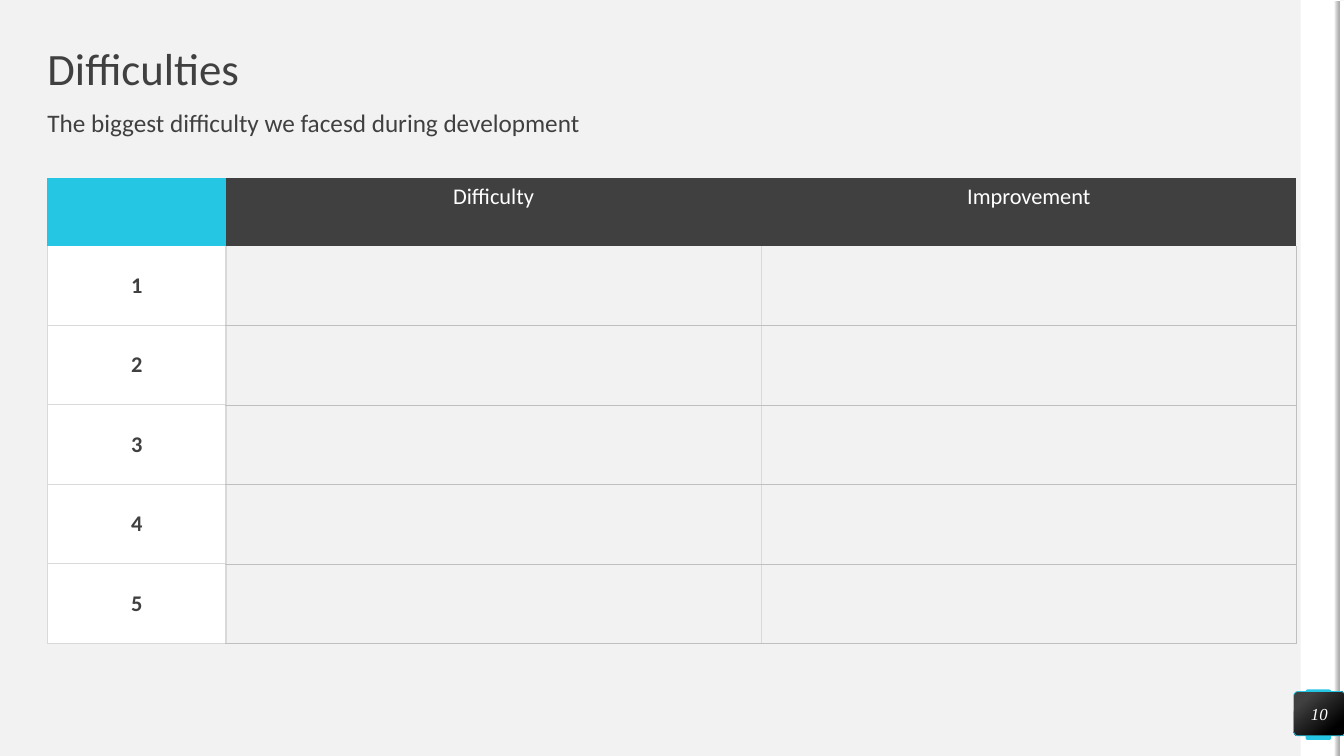
"""Build the Difficulties slide with its table, side band and page badge."""
from dataclasses import dataclass
from typing import Any, Optional

from lxml.etree import SubElement as Sub
from pptx import Presentation
from pptx.dml.color import RGBColor as RGB
from pptx.enum.shapes import MSO_SHAPE as Kind
from pptx.enum.text import MSO_ANCHOR as Anchor, PP_ALIGN as Align
from pptx.oxml.ns import qn
from pptx.util import Inches, Pt

WIDE, HIGH = Inches(13.33), Inches(7.5)
PALE = RGB(0xF2, 0xF2, 0xF2)
WHITE = RGB(0xFF, 0xFF, 0xFF)
BLACK = RGB(0, 0, 0)
CYAN = RGB(0x25, 0xC6, 0xE3)
DARK = RGB(0x40, 0x40, 0x40)
GRAY = RGB(0xA6, 0xA6, 0xA6)
LIGHT = RGB(0xD9, 0xD9, 0xD9)
MID = RGB(0xBF, 0xBF, 0xBF)
SANS, SERIF = "Calibri", "Times New Roman"
LEFT = 3.53
COLS = (13.28, 39.83, 39.83)
HEAD_ROW, BODY_ROW = 8.93, 10.51
HEADS = ("", "Difficulty", "Improvement")
COUNT = 5
SOFT, FINE = (LIGHT, 1), (MID, 0.25)
Edge = Optional[tuple[RGB, float]]


@dataclass(frozen=True)
class Box:
    """Place and size in percent of the slide."""
    x: float
    y: float
    w: float
    h: float

    def emu(self) -> tuple[int, int, int, int]:
        """Return left, top, width and height in slide units."""
        return across(self.x), down(self.y), across(self.w), down(self.h)


@dataclass(frozen=True)
class Blend:
    """Two-stop gradient with a counter-clockwise angle."""
    stops: tuple[tuple[float, RGB], tuple[float, RGB]]
    angle: float


@dataclass(frozen=True)
class Panel:
    """Filled shape of the slide frame."""
    box: Box
    fill: RGB | Blend
    bend: Optional[float] = None
    turn: float = 0


@dataclass(frozen=True)
class Label:
    """Line of heading text."""
    box: Box
    text: str
    size: float
    anchor: Anchor
    before: float = 0


PANELS = (
    Panel(Box(96.77, 0, 2.93, 100), WHITE),
    Panel(Box(97.15, 91.2, 1.88, 6.67), CYAN, 0.07),
    Panel(Box(71.72, 49.73, 56.26, 0.67), WHITE, turn=90),
    Panel(Box(71.34, 49.73, 56.26, 0.67), Blend(((0, PALE), (1, GRAY)), 90), turn=90),
)
BADGE = Panel(Box(96.25, 91.47, 3.83, 5.87), Blend(((0.2, DARK), (0.82, BLACK)), 310), 0.1)
LABELS = (
    Label(Box(LEFT, 6.27, 92.95, 6.27), "Difficulties", 32, Anchor.MIDDLE),
    Label(Box(LEFT, 14.67, 93.02, 5.2),
          "The biggest difficulty we facesd during development", 18, Anchor.TOP, 10),
)


def across(share: float) -> int:
    """Turn a percent of the width into slide units."""
    return round(WIDE * share / 100)


def down(share: float) -> int:
    """Turn a percent of the height into slide units."""
    return round(HIGH * share / 100)


def apply(item: Any, form: dict[str, Any]) -> None:
    """Set each named attribute."""
    for name, value in form.items():
        setattr(item, name, value)


def paint(fill: Any, look: RGB | Blend) -> None:
    """Fill with a plain colour or a gradient."""
    if isinstance(look, Blend):
        fill.gradient()
        fill.gradient_angle = look.angle
        for stop, (place, tone) in zip(fill.gradient_stops, look.stops):
            stop.position = place
            stop.color.rgb = tone
    else:
        fill.solid()
        fill.fore_color.rgb = look


def write(frame: Any, text: str, tone: RGB, font: dict[str, Any],
          para: dict[str, Any]) -> None:
    """Write one formatted line."""
    line = frame.paragraphs[0]
    apply(line, para)
    run = line.add_run()
    run.text = text
    apply(run.font, font)
    run.font.color.rgb = tone


def clear(frame: Any, anchor: Anchor) -> None:
    """Wrap the frame and drop its margins."""
    apply(frame, dict(word_wrap=True, vertical_anchor=anchor, margin_left=0,
                      margin_right=0, margin_top=0, margin_bottom=0))


def draw_panel(slide: Any, panel: Panel) -> Any:
    """Draw one frame shape."""
    kind = Kind.RECTANGLE if panel.bend is None else Kind.ROUNDED_RECTANGLE
    shape = slide.shapes.add_shape(kind, *panel.box.emu())
    if panel.bend is not None:
        shape.adjustments[0] = panel.bend
    shape.rotation = panel.turn
    shape.shadow.inherit = False
    paint(shape.fill, panel.fill)
    shape.line.fill.background()
    return shape


def draw_label(slide: Any, label: Label) -> None:
    """Draw one heading."""
    frame = slide.shapes.add_textbox(*label.box.emu()).text_frame
    clear(frame, label.anchor)
    write(frame, label.text, DARK, dict(name=SANS, size=Pt(label.size)),
          dict(line_spacing=0.9, space_before=Pt(label.before)))


def draw_badge(slide: Any) -> None:
    """Draw the page number badge."""
    shape = draw_panel(slide, BADGE)
    paint(shape.line.fill, CYAN)
    shape.line.width = Pt(0.5)
    clear(shape.text_frame, Anchor.MIDDLE)
    write(shape.text_frame, "10", WHITE, dict(name=SERIF, size=Pt(12), italic=True),
          dict(alignment=Align.CENTER))


def edge(cell: Any, sides: dict[str, Edge]) -> None:
    """Set the borders of a cell."""
    props = cell._tc.get_or_add_tcPr()
    for side, look in sides.items():
        line = Sub(props, qn(f"a:ln{side}"))
        if look is None:
            Sub(line, qn("a:noFill"))
        else:
            tone, width = look
            line.set("w", str(Pt(width)))
            Sub(Sub(line, qn("a:solidFill")), qn("a:srgbClr")).set("val", str(tone))


def style(cell: Any, row: int, col: int) -> None:
    """Give a cell its borders, fill and text."""
    if row == 0:
        edge(cell, dict.fromkeys("LRTB"))
        paint(cell.fill, DARK if col else CYAN)
    elif col == 0:
        edge(cell, dict(L=SOFT, R=SOFT, T=SOFT if row > 1 else None, B=SOFT))
        paint(cell.fill, WHITE)
    else:
        edge(cell, dict(L=SOFT, R=SOFT if col == 1 else FINE,
                        T=FINE if row > 1 else None, B=FINE))
        cell.fill.background()
    text = HEADS[col] if row == 0 else "" if col else str(row)
    if text:
        cell.vertical_anchor = Anchor.MIDDLE if row else Anchor.TOP
        write(cell.text_frame, text, DARK if row else WHITE,
              dict(name=SANS, size=Pt(16), bold=row > 0), dict(alignment=Align.CENTER))


def draw_table(slide: Any) -> None:
    """Draw the table of difficulties."""
    box = Box(LEFT, 23.6, sum(COLS), HEAD_ROW + COUNT * BODY_ROW)
    table = slide.shapes.add_table(COUNT + 1, len(COLS), *box.emu()).table
    apply(table, dict(first_row=False, horz_banding=False))
    for col, share in zip(table.columns, COLS):
        col.width = across(share)
    for i, row in enumerate(table.rows):
        row.height = down(BODY_ROW if i else HEAD_ROW)
        for j, cell in enumerate(row.cells):
            style(cell, i, j)


def main() -> None:
    """Build and save the deck."""
    deck = Presentation()
    apply(deck, dict(slide_width=WIDE, slide_height=HIGH))
    slide = deck.slides.add_slide(deck.slide_layouts[6])
    paint(slide.background.fill, PALE)
    for panel in PANELS:
        draw_panel(slide, panel)
    for label in LABELS:
        draw_label(slide, label)
    draw_table(slide)
    draw_badge(slide)
    deck.save("out.pptx")


if __name__ == "__main__":
    main()
